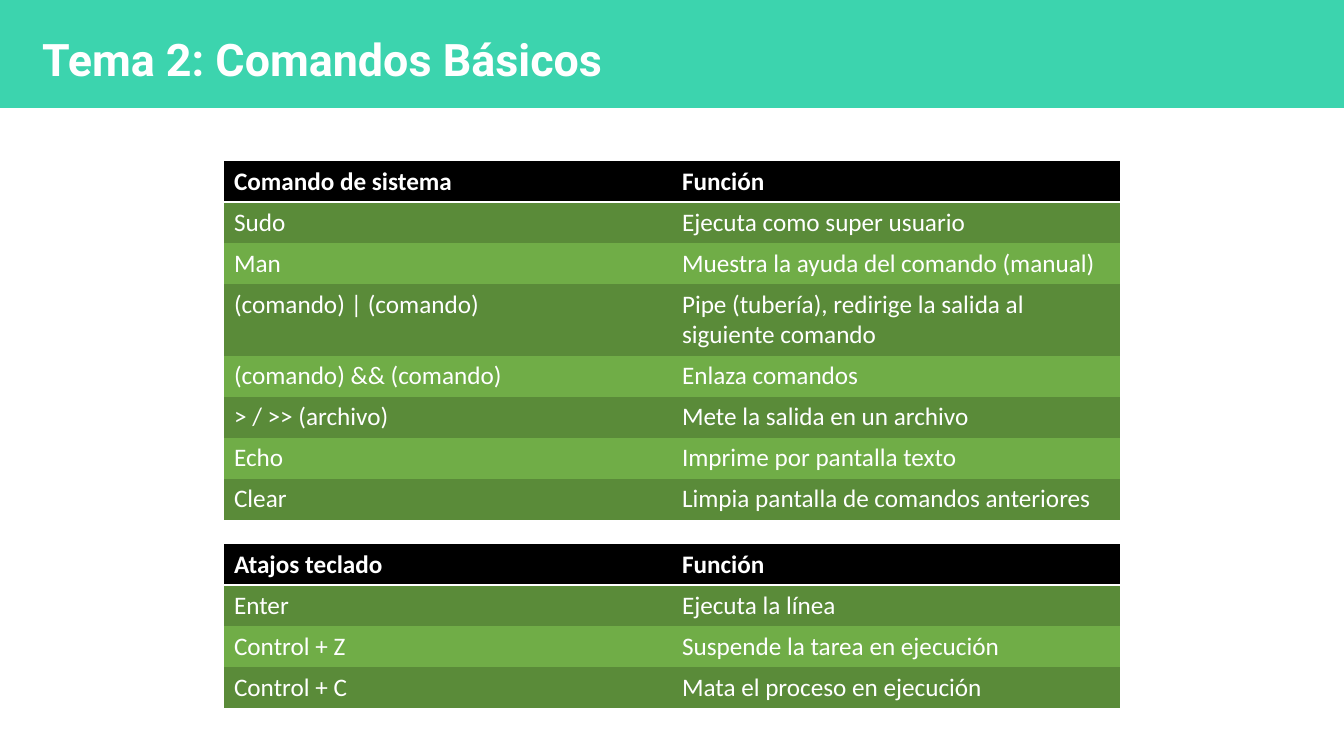
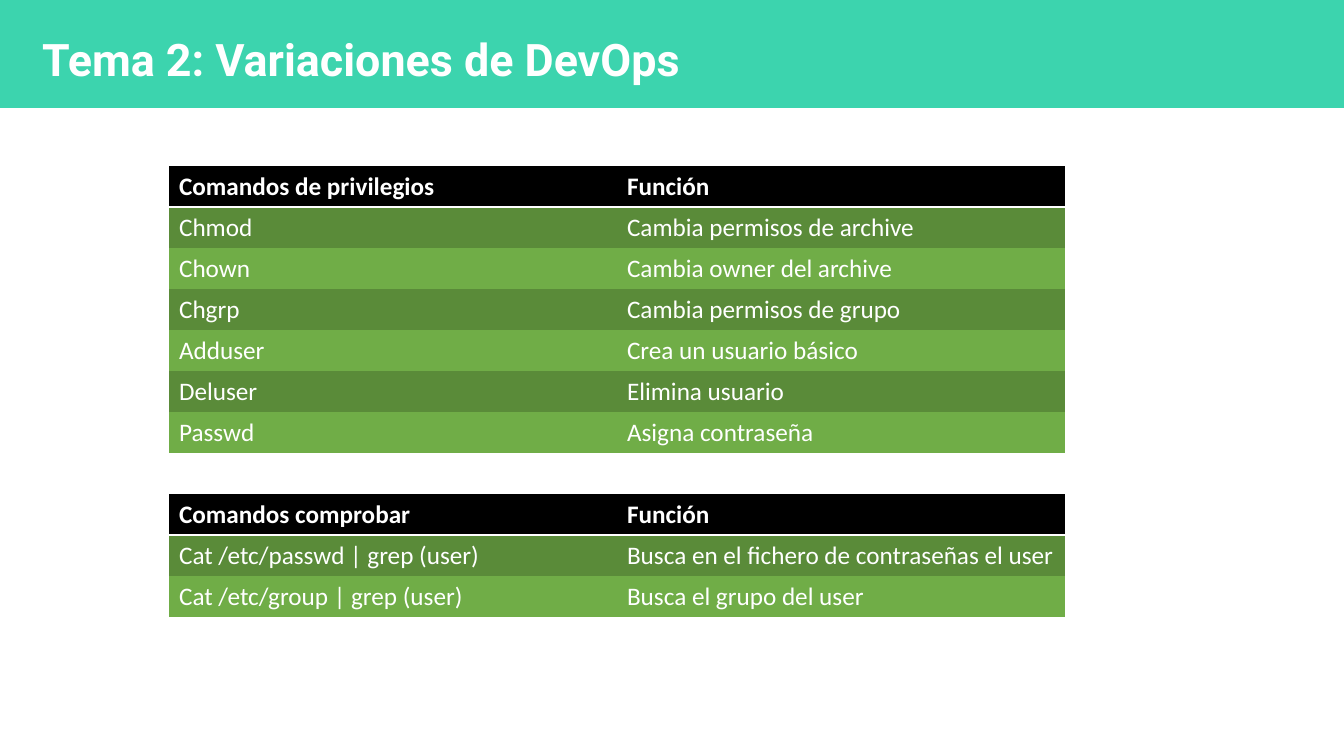
from pptx import Presentation
from pptx.dml.color import RGBColor
from pptx.enum.shapes import MSO_SHAPE as Preset
from pptx.enum.text import MSO_ANCHOR as Anchor, MSO_AUTO_SIZE as AutoSize, PP_ALIGN as Align
from pptx.oxml import parse_xml
from pptx.oxml.ns import nsdecls, qn
from pptx.util import Emu, Pt

PX_PER_INCH = 100.8
SLIDE_WIDTH, SLIDE_HEIGHT = 1344, 756
COLUMN_WIDTH, ROW_HEIGHT = 448, 41
PLAIN_TABLE_STYLE = "{2D5ABB26-0587-4C30-8999-92F81FD0307C}"
COLORS = {
    "band": "3CD4AE",
    "header": "000000",
    "dark row": "5A8B39",
    "light row": "70AD47",
    "text": "FFFFFF",
    "rule": "FFFFFF",
}


def px(length):
    return Emu(round(length * 914400 / PX_PER_INCH))


def color(name):
    return RGBColor.from_string(COLORS[name])


class Deck:
    """Holds the shared style and the slide being built."""

    def __init__(self):
        self.presentation = Presentation()
        self.presentation.slide_width = px(SLIDE_WIDTH)
        self.presentation.slide_height = px(SLIDE_HEIGHT)
        self.slide = None

    def add_slide(self, title):
        layout = self.presentation.slide_layouts.get_by_name("Title Only")
        self.slide = self.presentation.slides.add_slide(layout)
        self.set_title(title)
        self.add_band()

    def set_title(self, text):
        title = self.slide.shapes.title
        title.left, title.top, title.width, title.height = map(px, (29, 25, 950, 77))
        frame = title.text_frame
        frame.margin_left = frame.margin_right = px(13)
        frame.margin_top = frame.margin_bottom = px(13)
        frame.vertical_anchor = Anchor.TOP
        frame.auto_size = AutoSize.NONE
        frame.word_wrap = True
        paragraph = frame.paragraphs[0]
        paragraph.alignment = Align.LEFT
        paragraph.line_spacing = 0.9
        paragraph.space_after = Pt(21.3)
        self.add_run(paragraph, text, "Roboto", 32, True)

    def add_band(self):
        band = self.slide.shapes.add_shape(
            Preset.RECTANGLE, 0, px(-2), px(SLIDE_WIDTH), px(109))
        band.shadow.inherit = False
        band.fill.solid()
        band.fill.fore_color.rgb = color("band")
        band.line.color.rgb = color("band")
        band.line.width = Pt(1)
        # The band lies behind the title
        self.slide.shapes.title._element.addprevious(band._element)

    def add_table(self, left, top, rows):
        frame = self.slide.shapes.add_table(
            len(rows), 2, px(left), px(top),
            px(2 * COLUMN_WIDTH), px(len(rows) * ROW_HEIGHT))
        table = frame.table
        table.first_row = table.horz_banding = False
        table._tbl.tblPr.find(qn("a:tableStyleId")).text = PLAIN_TABLE_STYLE
        for column in table.columns:
            column.width = px(COLUMN_WIDTH)
        for index, texts in enumerate(rows):
            table.rows[index].height = px(ROW_HEIGHT)
            if index == 0:
                fill = "header"
            else:
                fill = "dark row" if index % 2 else "light row"
            for cell, text in zip(table.rows[index].cells, texts):
                cell.fill.solid()
                cell.fill.fore_color.rgb = color(fill)
                self.add_run(cell.text_frame.paragraphs[0], text,
                             "Calibri", 18, index == 0)
                if index == 0:
                    self.add_rule(cell)

    def add_rule(self, cell):
        """Draw the line under a header cell."""
        rule = parse_xml(
            f'<a:lnB {nsdecls("a")} w="{Pt(2)}"><a:solidFill>'
            f'<a:srgbClr val="{COLORS["rule"]}"/></a:solidFill></a:lnB>')
        cell._tc.get_or_add_tcPr().insert(0, rule)

    def add_run(self, paragraph, text, font_name, size, bold):
        run = paragraph.add_run()
        run.text = text
        run.font.name = font_name
        run.font.size = Pt(size)
        run.font.bold = bold
        run.font.color.rgb = color("text")


def main():
    deck = Deck()

    # Basic commands
    deck.add_slide("Tema 2: Comandos Básicos")
    deck.add_table(224, 161, [
        ("Comando de sistema", "Función"),
        ("Sudo", "Ejecuta como super usuario"),
        ("Man", "Muestra la ayuda del comando (manual)"),
        ("(comando) | (comando)",
         "Pipe (tubería), redirige la salida al siguiente comando"),
        ("(comando) && (comando)", "Enlaza comandos"),
        ("> / >> (archivo)", "Mete la salida en un archivo"),
        ("Echo", "Imprime por pantalla texto"),
        ("Clear", "Limpia pantalla de comandos anteriores"),
    ])
    deck.add_table(224, 544, [
        ("Atajos teclado", "Función"),
        ("Enter", "Ejecuta la línea"),
        ("Control + Z", "Suspende la tarea en ejecución"),
        ("Control + C", "Mata el proceso en ejecución"),
    ])

    # Privileges and checks
    deck.add_slide("Tema 2: Variaciones de DevOps")
    deck.add_table(169, 166, [
        ("Comandos de privilegios", "Función"),
        ("Chmod", "Cambia permisos de archive"),
        ("Chown", "Cambia owner del archive"),
        ("Chgrp", "Cambia permisos de grupo"),
        ("Adduser", "Crea un usuario básico"),
        ("Deluser", "Elimina usuario"),
        ("Passwd", "Asigna contraseña"),
    ])
    deck.add_table(169, 494, [
        ("Comandos comprobar", "Función"),
        ("Cat /etc/passwd | grep (user)",
         "Busca en el fichero de contraseñas el user"),
        ("Cat /etc/group | grep (user)", "Busca el grupo del user"),
    ])

    deck.presentation.save("out.pptx")


if __name__ == "__main__":
    main()
